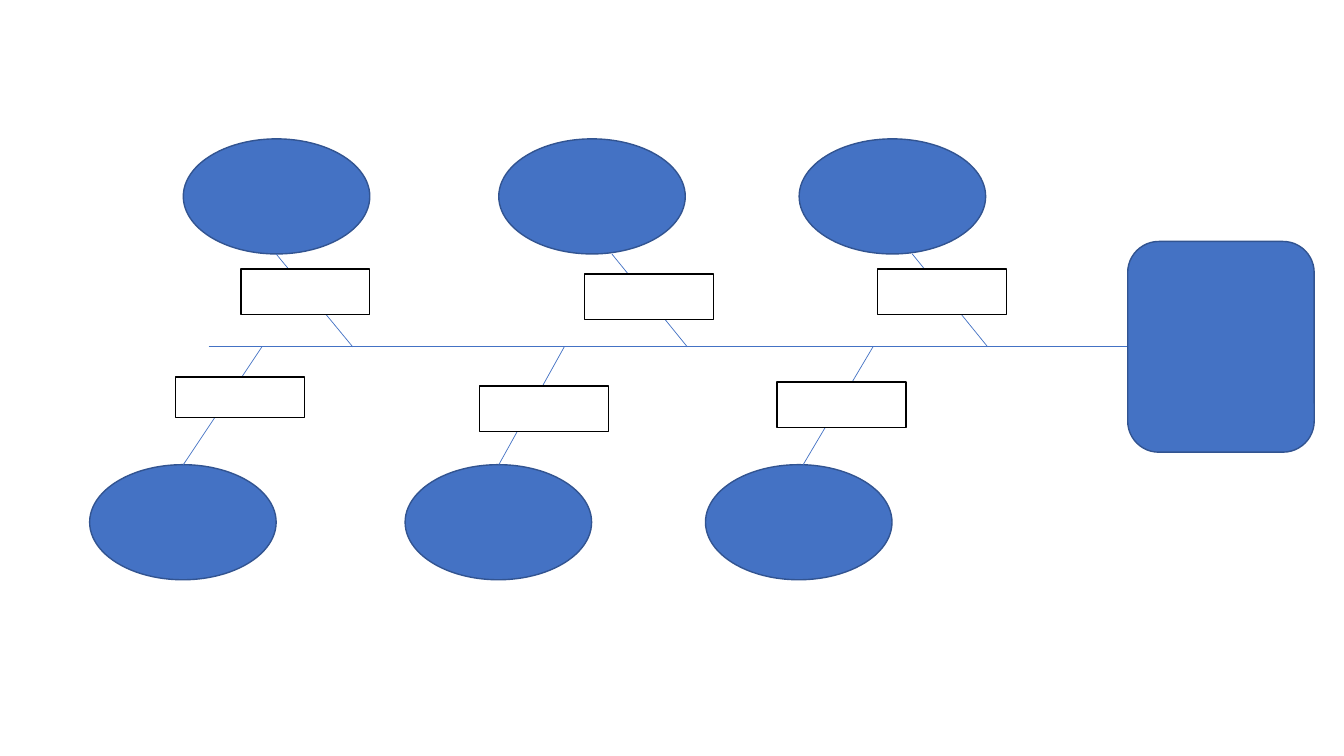
from dataclasses import dataclass

from lxml import etree
from pptx import Presentation
from pptx.dml.color import RGBColor
from pptx.enum.shapes import MSO_CONNECTOR, MSO_SHAPE
from pptx.oxml.ns import qn
from pptx.util import Cm, Pt

ELLIPSE = MSO_SHAPE.OVAL
RECTANGLE = MSO_SHAPE.RECTANGLE
ROUNDED = MSO_SHAPE.ROUNDED_RECTANGLE
STRAIGHT = MSO_CONNECTOR.STRAIGHT

BLUE, DARK_BLUE = "4472C4", "325491"
WHITE, BLACK = "FFFFFF", "000000"

# All lengths are in centimetres.
CAUSE_WIDTH, CAUSE_HEIGHT = 4.7, 2.9
LABEL_WIDTH, LABEL_HEIGHT = 3.25, 1.14
DIAGRAM_BOX = (2.26, 3.5, 30.86, 11.11)
SPINE_DROP = 5.24
SPINE_INDENT = 3.0
HEAD_HEIGHT = 5.31
COLUMN_OFFSETS = (0, 7.95, 15.52)
UPPER_SHIFT = 2.36


@dataclass
class Bone:
    """Offsets from the left edge of the cause; label_gap is from the spine to the label's top."""
    root: float
    joint: float
    label_left: float
    label_gap: float
    label_height: float = LABEL_HEIGHT


UPPER_BONES = (
    Bone(2.34, 4.27, 1.45, -1.96),
    Bone(2.85, 4.75, 2.16, -1.83),
    Bone(2.85, 4.75, 1.98, -1.96),
)
LOWER_BONES = (
    Bone(2.36, 4.34, 2.16, 0.76, 1.02),
    Bone(2.36, 4.01, 1.88, 0.99),
    Bone(2.46, 4.22, 1.8, 0.89),
)


def color(hex_value):
    return RGBColor.from_string(hex_value)


def add_outlined(slide, kind, box, fill, outline):
    shape = slide.shapes.add_shape(kind, *map(Cm, box))
    shape.shadow.inherit = False
    shape.fill.solid()
    shape.fill.fore_color.rgb = color(fill)
    shape.line.color.rgb = color(outline)
    shape.line.width = Pt(1)


def add_thin_line(slide, start, end):
    line = slide.shapes.add_connector(STRAIGHT, *map(Cm, (*start, *end)))
    line.line.color.rgb = color(BLUE)
    line.line.width = Pt(0.5)
    etree.SubElement(line._element.spPr, qn("a:effectLst"))


def add_bone(slide, left, top, spine_y, bone):
    """Draws one cause, its line to the spine and the label on that line."""
    root_y = top + CAUSE_HEIGHT if top < spine_y else top
    add_outlined(slide, ELLIPSE, (left, top, CAUSE_WIDTH, CAUSE_HEIGHT), BLUE, DARK_BLUE)
    add_thin_line(slide, (left + bone.root, root_y), (left + bone.joint, spine_y))
    label_box = (left + bone.label_left, spine_y + bone.label_gap,
                 LABEL_WIDTH, bone.label_height)
    add_outlined(slide, RECTANGLE, label_box, WHITE, BLACK)


def add_fishbone(slide, box):
    left, top, width, height = box
    spine_y = top + SPINE_DROP
    head_left = left + width - CAUSE_WIDTH
    lower_top = top + height - CAUSE_HEIGHT

    add_thin_line(slide, (left + SPINE_INDENT, spine_y), (head_left + 0.66, spine_y))
    for offset, upper, lower in zip(COLUMN_OFFSETS, UPPER_BONES, LOWER_BONES):
        add_bone(slide, left + offset + UPPER_SHIFT, top, spine_y, upper)
        add_bone(slide, left + offset, lower_top, spine_y, lower)
    head_box = (head_left, spine_y - HEAD_HEIGHT / 2, CAUSE_WIDTH, HEAD_HEIGHT)
    add_outlined(slide, ROUNDED, head_box, BLUE, DARK_BLUE)


def main():
    deck = Presentation()
    deck.slide_width, deck.slide_height = Cm(33.87), Cm(19.05)
    slide = deck.slides.add_slide(deck.slide_layouts[6])
    add_fishbone(slide, DIAGRAM_BOX)
    deck.save("out.pptx")


if __name__ == "__main__":
    main()
